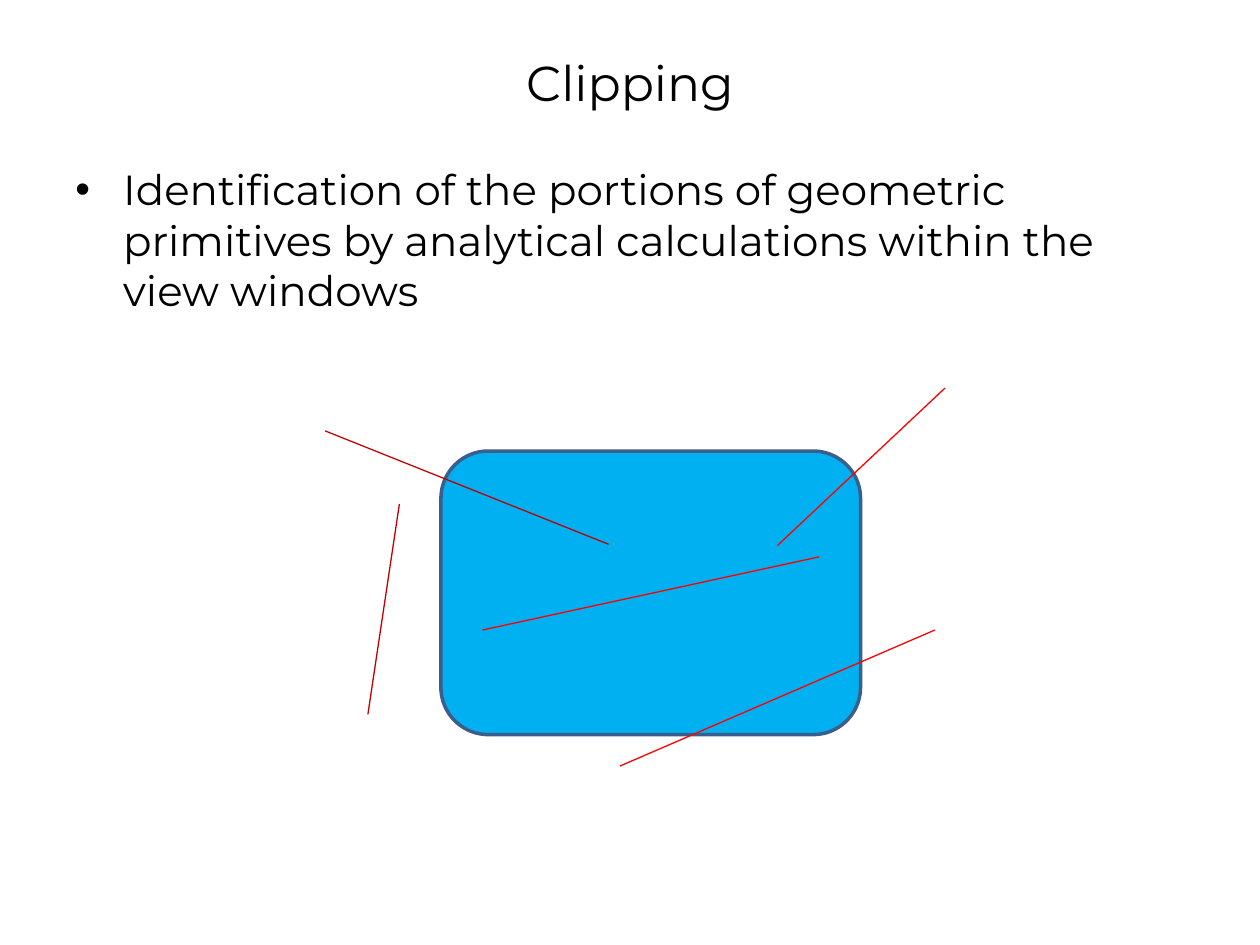
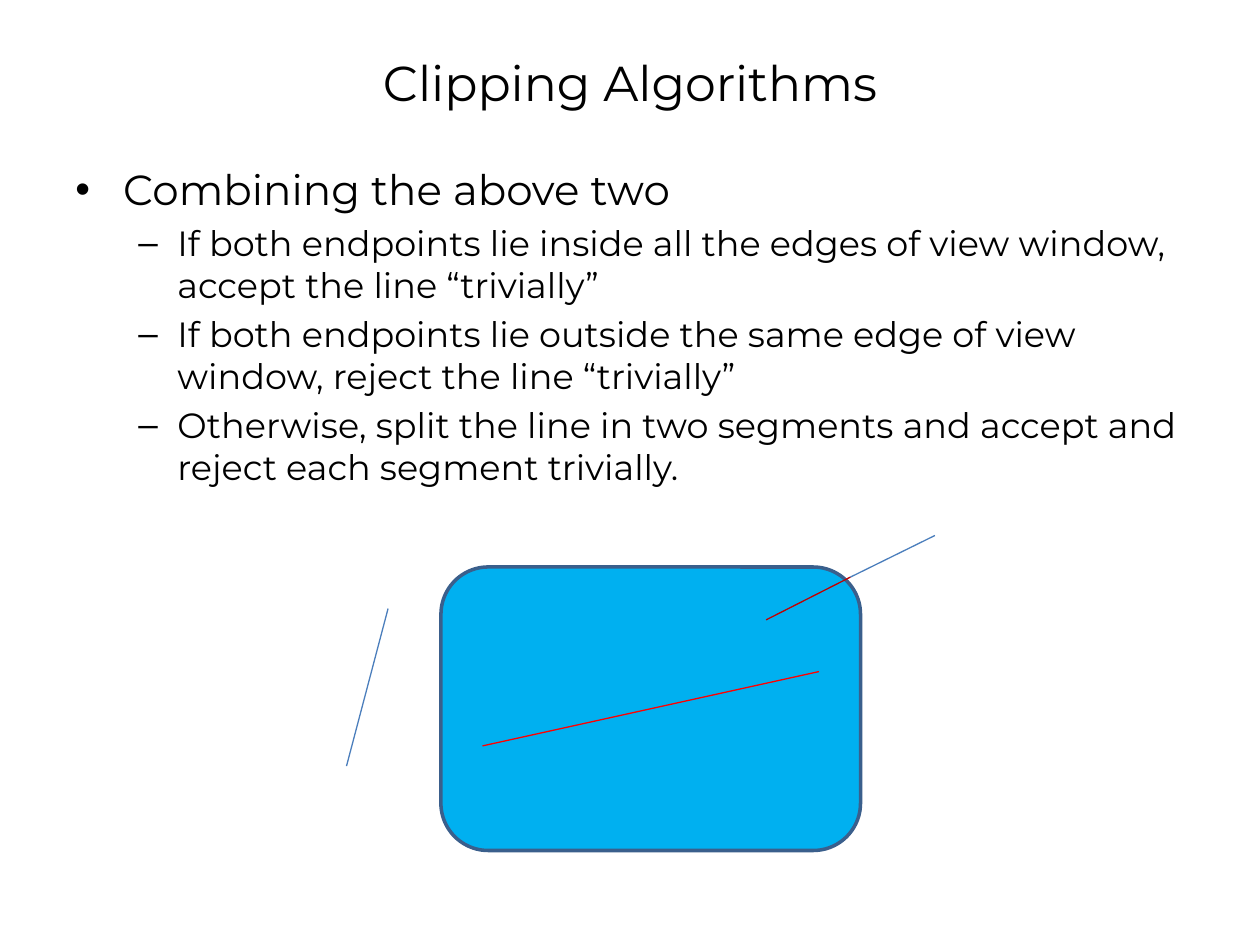
"""Build two slides on clipping lines against a view window."""
from dataclasses import dataclass

from lxml.etree import SubElement
from pptx import Presentation
from pptx.dml.color import RGBColor as Rgb
from pptx.enum.shapes import MSO_CONNECTOR as Connector, MSO_SHAPE as Shape
from pptx.enum.text import MSO_ANCHOR as Anchor, PP_ALIGN as Align
from pptx.oxml.ns import qn
from pptx.util import Inches, Pt


@dataclass(frozen=True)
class Theme:
    font: str = "Montserrat"
    text: Rgb = Rgb(0x00, 0x00, 0x00)
    window: Rgb = Rgb(0x00, 0xB0, 0xF0)
    border: Rgb = Rgb(0x3A, 0x5F, 0x8C)
    red: Rgb = Rgb(0xFF, 0x00, 0x00)
    dark_red: Rgb = Rgb(0xC0, 0x00, 0x00)
    blue: Rgb = Rgb(0x4B, 0x7E, 0xBC)
    title_size: int = 28
    body_sizes: tuple = (24, 20)
    border_width: float = 2
    line_width: float = 0.75


theme = Theme()
bullets = [("•", 0.38, 0.38), ("–", 0.81, 0.31)]

slides = [
    {
        "title": "Clipping",
        "points": [
            (0, "Identification of the portions of geometric primitives by "
                "analytical calculations within the view windows"),
        ],
        "window_top": 3.58,
        "lines": [
            (6.17, 4.33, 7.5, 3.08, theme.red),
            (3.83, 5, 6.5, 4.42, theme.red),
            (4.92, 6.08, 7.42, 5, theme.red),
            (2.58, 3.42, 4.83, 4.32, theme.dark_red),
            (3.17, 4, 2.92, 5.67, theme.dark_red),
        ],
    },
    {
        "title": "Clipping Algorithms",
        "points": [
            (0, "Combining the above two"),
            (1, "If both endpoints lie inside all the edges of view window, "
                "accept the line “trivially”"),
            (1, "If both endpoints lie outside the same edge of view window, "
                "reject the line “trivially”"),
            (1, "Otherwise, split the line in two segments and accept and "
                "reject each segment trivially."),
        ],
        "window_top": 4.5,
        "lines": [
            (3.83, 5.92, 6.5, 5.33, theme.red),
            (2.75, 6.08, 3.08, 4.83, theme.blue),
            (6.08, 4.92, 6.75, 4.58, theme.dark_red),
            (6.75, 4.58, 7.42, 4.25, theme.blue),
        ],
    },
]


def add_text_frame(slide, top, height, anchor):
    frame = slide.shapes.add_textbox(Inches(0.5), Inches(top), Inches(9), Inches(height)).text_frame
    frame.word_wrap = True
    frame.vertical_anchor = anchor
    return frame


def write(paragraph, text, size):
    paragraph.text = text
    font = paragraph.runs[0].font
    font.name = theme.font
    font.size = Pt(size)
    font.color.rgb = theme.text


deck = Presentation()
deck.slide_width, deck.slide_height = Inches(10), Inches(7.5)

for content in slides:
    slide = deck.slides.add_slide(deck.slide_layouts[6])

    heading = add_text_frame(slide, 0.3, 0.7, Anchor.MIDDLE).paragraphs[0]
    write(heading, content["title"], theme.title_size)
    heading.alignment = Align.CENTER

    body = add_text_frame(slide, 1.25, 5.45, Anchor.TOP)
    for index, (level, text) in enumerate(content["points"]):
        point = body.add_paragraph() if index else body.paragraphs[0]
        size = theme.body_sizes[level]
        mark, margin, hanging = bullets[level]
        write(point, text, size)
        point.level = level
        if index:
            point.space_before = Pt(0.2 * size)
        properties = point._p.get_or_add_pPr()
        properties.set("marL", str(Inches(margin)))
        properties.set("indent", str(-Inches(hanging)))
        SubElement(properties, qn("a:buFont")).set("typeface", "Arial")
        SubElement(properties, qn("a:buChar")).set("char", mark)

    window = slide.shapes.add_shape(
        Shape.ROUNDED_RECTANGLE,
        Inches(3.5), Inches(content["window_top"]), Inches(3.33), Inches(2.25),
    )
    window.shadow.inherit = False
    window.fill.solid()
    window.fill.fore_color.rgb = theme.window
    window.line.color.rgb = theme.border
    window.line.width = Pt(theme.border_width)

    for *ends, color in content["lines"]:
        segment = slide.shapes.add_connector(Connector.STRAIGHT, *map(Inches, ends))
        segment.line.color.rgb = color
        segment.line.width = Pt(theme.line_width)
        SubElement(segment._element.spPr, qn("a:effectLst"))

deck.save("out.pptx")
